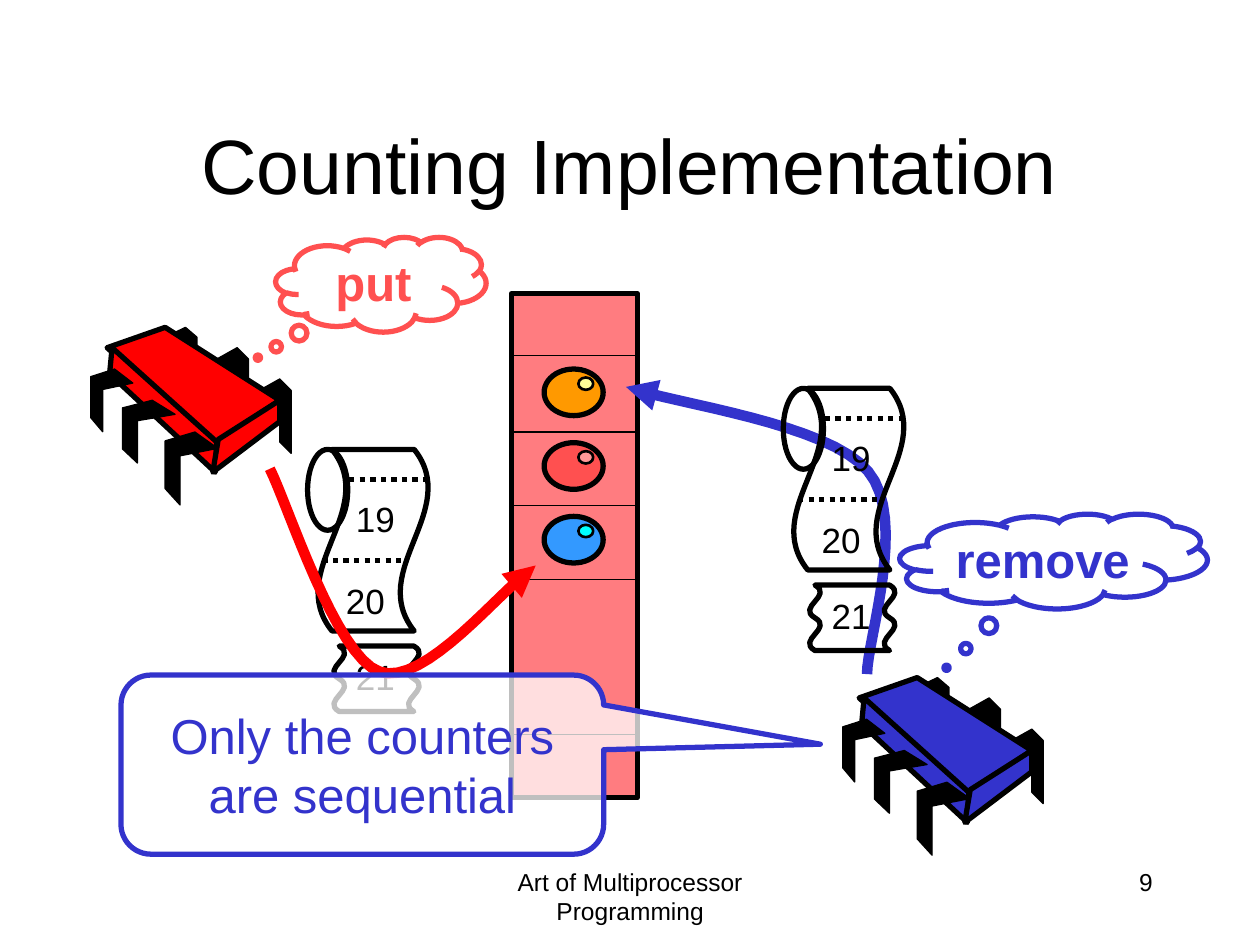
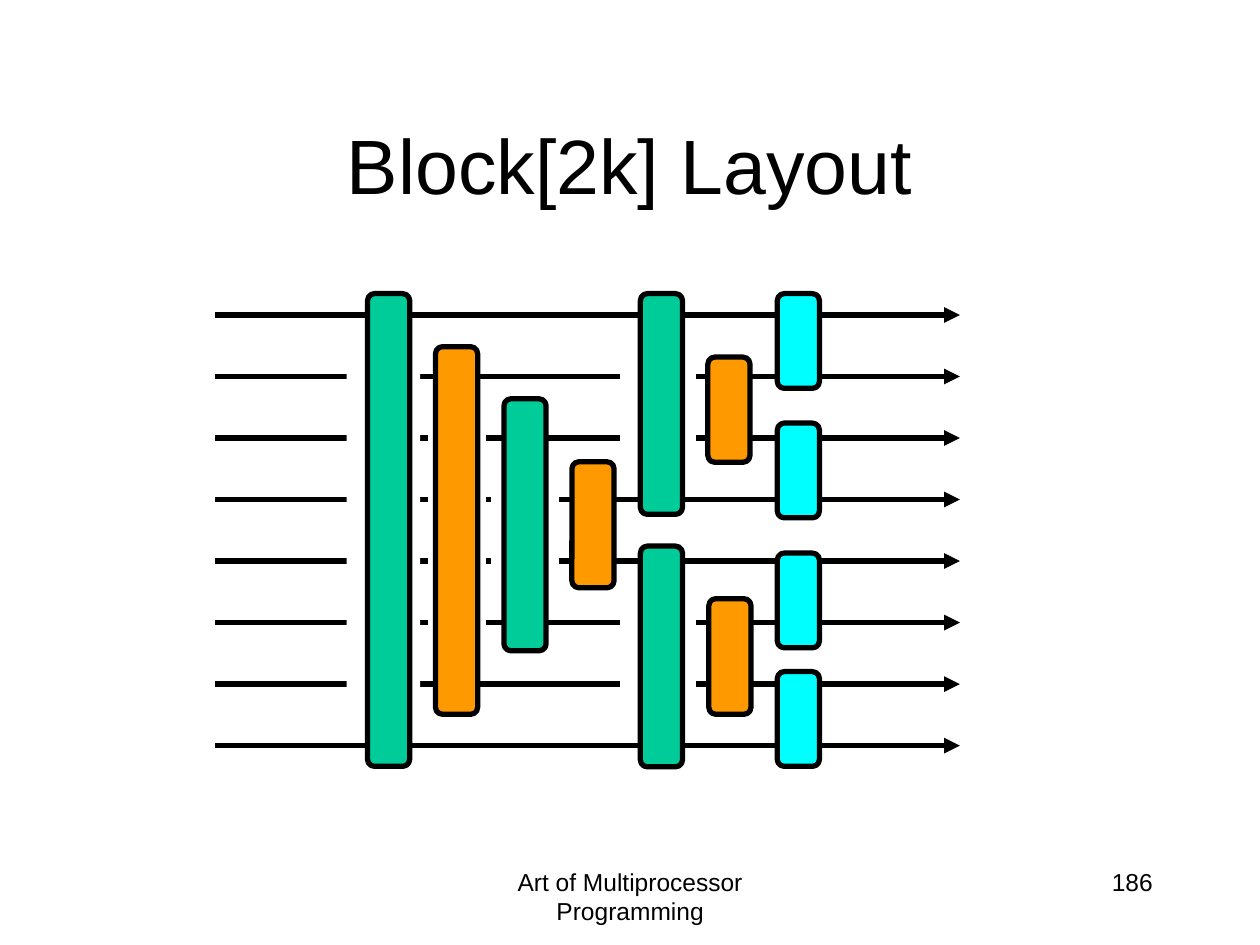
"""Build two slides: a counting-based pool and the layout of a Block[2k] network."""
from lxml.etree import SubElement
from pptx import Presentation
from pptx.dml.color import RGBColor
from pptx.enum.dml import MSO_LINE
from pptx.enum.shapes import MSO_CONNECTOR, MSO_SHAPE as SHAPE
from pptx.enum.text import MSO_ANCHOR as ANCHOR, PP_ALIGN as ALIGN
from pptx.oxml.ns import qn
from pptx.util import Cm, Pt

BLACK, WHITE = "000000", "FFFFFF"
RED, CORAL, PINK, BLUE = "FF0000", "FF5050", "FF7C80", "3333CC"
ORANGE, GREEN, CYAN = "FF9900", "00CC99", "00FFFF"
FONT = "Arial"
color = RGBColor.from_string


def draw(shape, fill=None, line=BLACK, width=3, arrow=False):
    """Set the fill and line of a shape or connector, without a shadow."""
    if hasattr(shape, "fill"):
        shape.shadow.inherit = False
        if fill:
            shape.fill.solid()
            shape.fill.fore_color.rgb = color(fill)
        else:
            shape.fill.background()
    else:
        SubElement(shape._element.spPr, qn("a:effectLst"))
    if line:
        shape.line.color.rgb = color(line)
        shape.line.width = Pt(width)
    else:
        shape.line.fill.background()
    if arrow:
        SubElement(shape.line._get_or_add_ln(), qn("a:tailEnd"), type="triangle")
    return shape


def write(box, text, size, ink=BLACK, align=ALIGN.CENTER, bold=False, wrap=True, anchor=ANCHOR.MIDDLE):
    """Put one formatted run of text into a box."""
    frame = box.text_frame
    frame.word_wrap = wrap
    frame.vertical_anchor = anchor
    para = frame.paragraphs[0]
    para.alignment = align
    span = para.add_run()
    span.text = text
    span.font.name = FONT
    span.font.size = Pt(size)
    span.font.bold = bold
    span.font.color.rgb = color(ink)


deck = Presentation()
deck.slide_width, deck.slide_height = Cm(25.4), Cm(19.05)

pages = []
for heading, number in [("Counting Implementation", "9"), ("Block[2k] Layout", "186")]:
    page = deck.slides.add_slide(deck.slide_layouts[5])
    title = page.shapes.title
    title.left, title.top, title.width, title.height = Cm(1.9), Cm(1.7), Cm(21.59), Cm(3.18)
    write(title, heading, 44)
    footer = page.shapes.add_textbox(Cm(8.68), Cm(17.35), Cm(8.05), Cm(1.27))
    write(footer, "Art of Multiprocessor Programming", 14, anchor=ANCHOR.TOP)
    counter = page.shapes.add_textbox(Cm(18.21), Cm(17.35), Cm(5.28), Cm(1.27))
    write(counter, number, 14, align=ALIGN.RIGHT, anchor=ANCHOR.TOP)
    pages.append(page)

shapes = pages[0].shapes

back_pin = [(0, 0.23), (0.41, 0), (0.64, 0.23), (0.64, 1.5), (0.41, 1.27), (0.41, 0.43), (0, 0.64)]
front_pin = [(0.6, 0), (1.06, 0.33), (0.3, 0.48), (0.3, 1.47), (0, 1.14), (0, 0.18)]
chip_top = [(1.5, 0), (3.81, 1.47), (2.51, 2.36), (0.33, 0.41)]
chip_side = [(0.43, 0.41), (2.54, 2.31), (2.51, 2.92), (0.38, 0.94)]
chip_end = [(3.81, 1.47), (3.81, 1.9), (2.46, 2.92), (2.57, 2.26)]
chip_parts = [
    (back_pin, 3.4, 1.04, 1, 1),
    (back_pin, 2.54, 0.41, 1, 1),
    (back_pin, 1.5, 0, 1, 0.86),
    (chip_top, 0, 0, 1, 1),
    (chip_side, 0, 0, 1, 1),
    (chip_end, 0, 0, 1, 1),
    (front_pin, 1.5, 2.11, 1, 1),
    (front_pin, 0.64, 1.47, 1, 0.86),
    (front_pin, 0, 0.84, 0.8, 0.86),
]
for left, top, fill in [(1.83, 6.6, RED), (16.99, 13.66, BLUE)]:
    for outline, dx, dy, stretch_x, stretch_y in chip_parts:
        points = [(Cm(left + dx + x * stretch_x), Cm(top + dy + y * stretch_y)) for x, y in outline]
        builder = shapes.build_freeform(*points[0])
        builder.add_line_segments(points[1:], close=True)
        is_pin = outline in (back_pin, front_pin)
        draw(builder.convert_to_shape(), BLACK if is_pin else fill, width=0.75 if is_pin else 3)

draw(shapes.add_shape(SHAPE.RECTANGLE, Cm(10.31), Cm(5.92), Cm(2.54), Cm(10.16)), PINK)
for y in [7.16, 8.71, 10.19, 11.68, 14.81]:
    divider = shapes.add_connector(MSO_CONNECTOR.STRAIGHT, Cm(10.31), Cm(y), Cm(12.85), Cm(y))
    draw(divider, width=0.75)

for row, (fill, shine) in enumerate([(ORANGE, "FFFF99"), (CORAL, "FF9999"), ("3399FF", CYAN)]):
    y = 7.44 + 1.485 * row
    draw(shapes.add_shape(SHAPE.OVAL, Cm(10.97), Cm(y), Cm(1.19), Cm(0.94)), fill)
    draw(shapes.add_shape(SHAPE.OVAL, Cm(11.66), Cm(y + 0.17), Cm(0.3), Cm(0.25)), shine, width=1.5)

curves = [
    (BLUE, [(17.48, 13.59), (17.48, 12.9), (18.31, 10.46), (17.5, 9.5),
            (16.69, 8.53), (13.64, 8.15), (12.62, 7.8)]),
    (RED, [(5.44, 9.45), (5.79, 10.13), (6.76, 13.23), (7.65, 13.54),
           (8.56, 13.87), (10.13, 11.84), (10.8, 11.4)]),
]
STEPS = 16
for ink, knots in curves:
    points = [(Cm(knots[0][0]), Cm(knots[0][1]))]
    for first in (0, 3):
        for step in range(1, STEPS + 1):
            t = step / STEPS
            weights = [(1 - t) ** 3, 3 * t * (1 - t) ** 2, 3 * t ** 2 * (1 - t), t ** 3]
            points.append(tuple(
                Cm(sum(weight * knot[axis] for weight, knot in zip(weights, knots[first:first + 4])))
                for axis in (0, 1)))
    builder = shapes.build_freeform(*points[0])
    builder.add_line_segments(points[1:], close=False)
    move_arrow = draw(builder.convert_to_shape(), line=ink, width=6, arrow=True)

tape_parts = [
    (SHAPE.WAVE, 0, 0.3, 3.66, 2.24, 0.13),
    (SHAPE.DOUBLE_WAVE, 1.24, 3.35, 1.32, 1.73, 0.065),
    (SHAPE.OVAL, 0.1, 0, 1.63, 0.81, None),
]
for left, top in [(5.69, 9.47), (15.28, 8.24)]:
    for kind, dx, dy, width, height, bend in tape_parts:
        part = draw(shapes.add_shape(kind, Cm(left + dx), Cm(top + dy), Cm(width), Cm(height)))
        part.rotation = 90
        if bend:
            part.adjustments[0], part.adjustments[1] = bend, 0
    for dx, dy in [(1.35, 0.2), (0.81, 1.83)]:
        x, y = left + dx, top + dy
        tear = shapes.add_connector(MSO_CONNECTOR.STRAIGHT, Cm(x), Cm(y), Cm(x + 1.63), Cm(y))
        draw(tear).line.dash_style = MSO_LINE.ROUND_DOT
    for ticket, dx, dy in [("19", 1.22, 0.43), ("20", 1.02, 2.08), ("21", 1.22, 3.61)]:
        box = shapes.add_textbox(Cm(left + dx), Cm(top + dy), Cm(1.3), Cm(1.12))
        write(box, ticket, 20, align=ALIGN.RIGHT, wrap=False, anchor=ANCHOR.TOP)
shapes._spTree.append(move_arrow._element)

callouts = [
    (SHAPE.ROUNDED_RECTANGULAR_CALLOUT, 2.44, 13.61, 9.73, 3.61, (0.949, -0.114, 0.167),
     WHITE, BLUE, "Only the counters are sequential"),
    (SHAPE.CLOUD_CALLOUT, 18.14, 10.36, 6.2, 1.91, (-0.348, 1.125), None, BLUE, "remove"),
    (SHAPE.CLOUD_CALLOUT, 5.56, 4.78, 4.24, 1.91, (-0.585, 0.773), None, CORAL, "put"),
]
for kind, x, y, width, height, pointer, fill, ink, text in callouts:
    callout = draw(shapes.add_shape(kind, Cm(x), Cm(y), Cm(width), Cm(height)), fill, ink)
    for index, value in enumerate(pointer):
        callout.adjustments[index] = value
    is_cloud = kind == SHAPE.CLOUD_CALLOUT
    write(callout, text, 28, ink, bold=is_cloud, wrap=not is_cloud)
    if fill:
        SubElement(callout._element.spPr.find(".//" + qn("a:srgbClr")), qn("a:alpha"), val="75000")

shapes = pages[1].shapes

for row in range(8):
    y = Cm(6.35 + 1.24 * row)
    wire = shapes.add_connector(MSO_CONNECTOR.STRAIGHT, Cm(4.34), y, Cm(19.35), y)
    draw(wire, arrow=True)

gaps = [
    (6.99, 6.99, 1.48, 7.2, None),
    (12.55, 7.2, 1.42, 2.12, WHITE),
    (12.55, 12.07, 1.42, 2.12, WHITE),
    (9.95, 9.53, 1.27, 2.12, WHITE),
    (8.68, 8.47, 1.06, 4.66, WHITE),
]
for x, y, width, height, edge in gaps:
    draw(shapes.add_shape(SHAPE.RECTANGLE, Cm(x), Cm(y), Cm(width), Cm(height)), WHITE, edge)

balancers = [
    (CYAN, 15.67, 5.92, 1.91),
    (CYAN, 15.67, 8.53, 1.91),
    (CYAN, 15.67, 11.15, 1.91),
    (CYAN, 15.67, 13.54, 1.91),
    (ORANGE, 11.53, 9.31, 2.54),
    (ORANGE, 14.29, 12.07, 2.33),
    (ORANGE, 14.27, 7.2, 2.12),
    (GREEN, 7.41, 5.92, 9.53),
    (ORANGE, 8.78, 6.99, 7.41),
    (GREEN, 10.16, 8.04, 5.08),
    (GREEN, 12.91, 5.92, 4.45),
    (GREEN, 12.91, 11.01, 4.45),
]
for fill, x, y, height in balancers:
    balancer = shapes.add_shape(SHAPE.ROUNDED_RECTANGLE, Cm(x), Cm(y), Cm(0.85), Cm(height))
    draw(balancer, fill).adjustments[0] = 0.167

deck.save("out.pptx")
